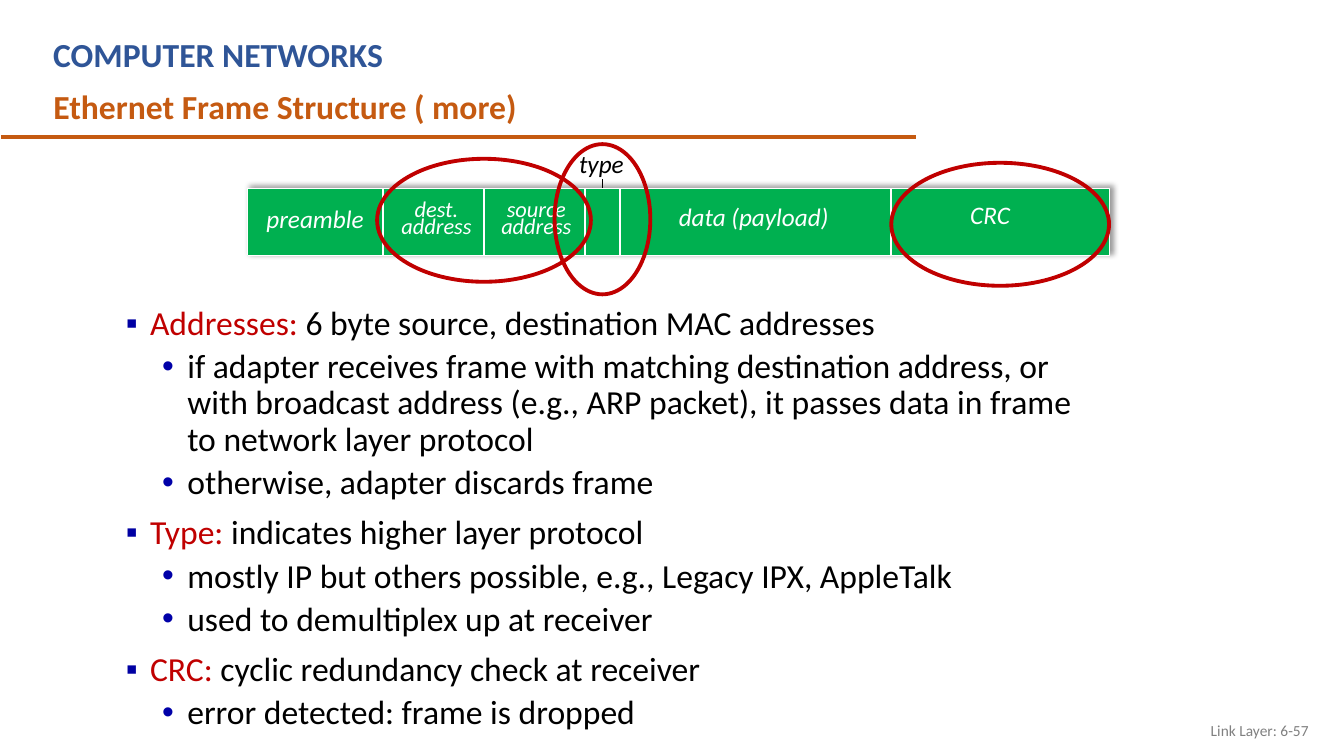
from dataclasses import dataclass
from itertools import accumulate
from lxml.etree import SubElement
from pptx import Presentation
from pptx.dml.color import RGBColor
from pptx.enum.shapes import MSO_CONNECTOR, MSO_SHAPE
from pptx.enum.text import MSO_ANCHOR, MSO_AUTO_SIZE, PP_ALIGN
from pptx.oxml.ns import qn
from pptx.util import Inches, Pt


@dataclass(frozen=True)
class Theme:
    font: str = "Calibri"
    blue: str = "2F5597"
    orange: str = "C55A11"
    green: str = "00B050"
    red: str = "C00000"
    black: str = "000000"
    white: str = "FFFFFF"
    grey: str = "808080"
    square: str = "0000A3"
    dot: str = "0000A8"
    body: int = 24
    label: int = 18
    small: int = 16
    foot: int = 11


T = Theme()

FIELDS = [
    ("preamble", 1.35, T.label, 0, 0.23),
    ("dest.\naddress", 1, T.small, 0.03, 0.12),
    ("source\naddress", 1, T.small, 0.02, 0.12),
    ("", 0.35, T.label, 0, 0),
    ("data (payload)", 2.69, T.label, -0.02, 0.21),
    ("CRC", 2.16, T.label, -0.1, 0.19),
]

RINGS = [(1, 3, 0.06, 1.22, -0.02), (5, 6, 0, 1.22, 0.02), (3, 4, 0.3, 1.49, -0.03)]

POINTS = [
    ("Addresses: ", "6 byte source, destination MAC addresses", [
        "if adapter receives frame with matching destination address, or with "
        "broadcast address (e.g., ARP packet), it passes data in frame to "
        "network layer protocol",
        "otherwise, adapter discards frame"]),
    ("Type: ", "indicates higher layer protocol", [
        "mostly IP but others possible, e.g., Legacy IPX, AppleTalk",
        "used to demultiplex up at receiver"]),
    ("CRC: ", "cyclic redundancy check at receiver", [
        "error detected: frame is dropped"]),
]


def style(r, size, color, bold=False, italic=False):
    f = r.font
    f.name, f.size, f.bold, f.italic = T.font, Pt(size), bold, italic
    f.color.rgb = RGBColor.from_string(color)


def fill_text(tf, text, size, color, align=PP_ALIGN.LEFT, leading=None, **look):
    tf.word_wrap = True
    tf.auto_size = MSO_AUTO_SIZE.NONE
    tf.text = text
    for p in tf.paragraphs:
        p.alignment = align
        p.line_spacing = leading
        for r in p.runs:
            style(r, size, color, **look)


def add_text(s, box, *args, **look):
    tf = s.shapes.add_textbox(*map(Inches, box)).text_frame
    fill_text(tf, *args, **look)
    return tf


def add_line(s, start, end, color, width):
    c = s.shapes.add_connector(MSO_CONNECTOR.STRAIGHT, *map(Inches, start + end))
    c.line.color.rgb = RGBColor.from_string(color)
    c.line.width = Pt(width)
    SubElement(c._element.spPr, qn("a:effectLst"))


def add_outlined(s, kind, box, line, width, fill=None):
    sp = s.shapes.add_shape(kind, *map(Inches, box))
    sp.shadow.inherit = False
    sp.line.color.rgb = RGBColor.from_string(line)
    sp.line.width = Pt(width)
    if fill:
        sp.fill.solid()
        sp.fill.fore_color.rgb = RGBColor.from_string(fill)
    else:
        sp.fill.background()
    return sp


def add_shadow(sp):
    effects = sp._element.spPr.find(qn("a:effectLst"))
    shadow = SubElement(effects, qn("a:outerShdw"), blurRad=str(Pt(4)),
                        dist=str(Pt(3)), dir="18900000", algn="bl", rotWithShape="0")
    color = SubElement(shadow, qn("a:srgbClr"), val=T.black)
    SubElement(color, qn("a:alpha"), val="40000")


def header(s, box):
    x, y, w, h = box
    add_text(s, (x, y, w, h), "COMPUTER NETWORKS", T.body, T.blue, bold=True)
    title = s.shapes.title
    title.left, title.top, title.width, title.height = map(Inches, (x, y + h, w, h))
    title.text_frame.vertical_anchor = MSO_ANCHOR.TOP
    fill_text(title.text_frame, "Ethernet Frame Structure ( more)", T.body, T.orange, bold=True)
    rule = y + 2 * h + 0.05
    add_line(s, (0.01, rule), (9.09, rule), T.orange, 3)


def frame_diagram(s, box):
    x, y, w, h = box
    total = sum(field[1] for field in FIELDS)
    edges = [x + w * part / total for part in accumulate((f[1] for f in FIELDS), initial=0)]
    mid = (edges[3] + edges[4]) / 2
    add_line(s, (mid, y - 0.09), (mid, y + 0.16), T.black, 0.75)
    add_shadow(add_outlined(s, MSO_SHAPE.RECTANGLE, box, T.white, 0.75, T.green))
    for edge in edges[1:-1]:
        add_line(s, (edge, y), (edge, y + h), T.white, 1.5)
    for (text, _, size, dx, dy), left, right in zip(FIELDS, edges, edges[1:]):
        if text:
            add_text(s, (left + dx - 0.08, y + dy, right - left + 0.16, 0.4), text,
                     size, T.white, PP_ALIGN.CENTER, Pt(12), italic=True)
    add_text(s, (mid - 0.33, y - 0.45, 1.05, 0.36), "type", T.label, T.black, italic=True)
    for first, last, pad, height, dy in RINGS:
        left, right = edges[first] - pad, edges[last] + pad
        top = y + (h - height) / 2 + dy
        add_outlined(s, MSO_SHAPE.OVAL, (left, top, right - left, height), T.red, 2.75)


def add_bullet(p, level, margin, hang, char, color):
    p.level = level
    pPr = p._p.get_or_add_pPr()
    pPr.set("marL", str(Inches(margin)))
    pPr.set("indent", str(Inches(-hang)))
    SubElement(SubElement(pPr, qn("a:buClr")), qn("a:srgbClr"), val=color)
    SubElement(pPr, qn("a:buFont"), typeface="Arial")
    SubElement(pPr, qn("a:buChar"), char=char)
    p.line_spacing = 0.9


def explanation(s, box):
    tf = s.shapes.add_textbox(*map(Inches, box)).text_frame
    tf.word_wrap = True
    for i, (term, meaning, details) in enumerate(POINTS):
        p = tf.add_paragraph() if i else tf.paragraphs[0]
        add_bullet(p, 0, 0.39, 0.24, "▪", T.square)
        p.space_before = Pt(10 if i else 0)
        for text, color in ((term, T.red), (meaning, T.black)):
            r = p.add_run()
            r.text = text
            style(r, T.body, color)
        for detail in details:
            p = tf.add_paragraph()
            p.text = detail
            add_bullet(p, 1, 0.76, 0.25, "•", T.dot)
            p.space_before = Pt(5)
            style(p.runs[0], T.body, T.black)


def footer(s, box):
    tf = add_text(s, box, "Link Layer: 6-57", T.foot, T.grey, PP_ALIGN.RIGHT)
    tf.vertical_anchor = MSO_ANCHOR.MIDDLE


def main():
    prs = Presentation()
    prs.slide_width, prs.slide_height = Inches(13.33), Inches(7.5)
    s = prs.slides.add_slide(prs.slide_layouts[5])
    header(s, (0.43, 0.29, 8.2, 0.51))
    frame_diagram(s, (2.45, 1.87, 8.55, 0.67))
    explanation(s, (1, 2.99, 9.87, 4.51))
    footer(s, (10.08, 7.05, 3, 0.4))
    prs.save("out.pptx")


if __name__ == "__main__":
    main()
